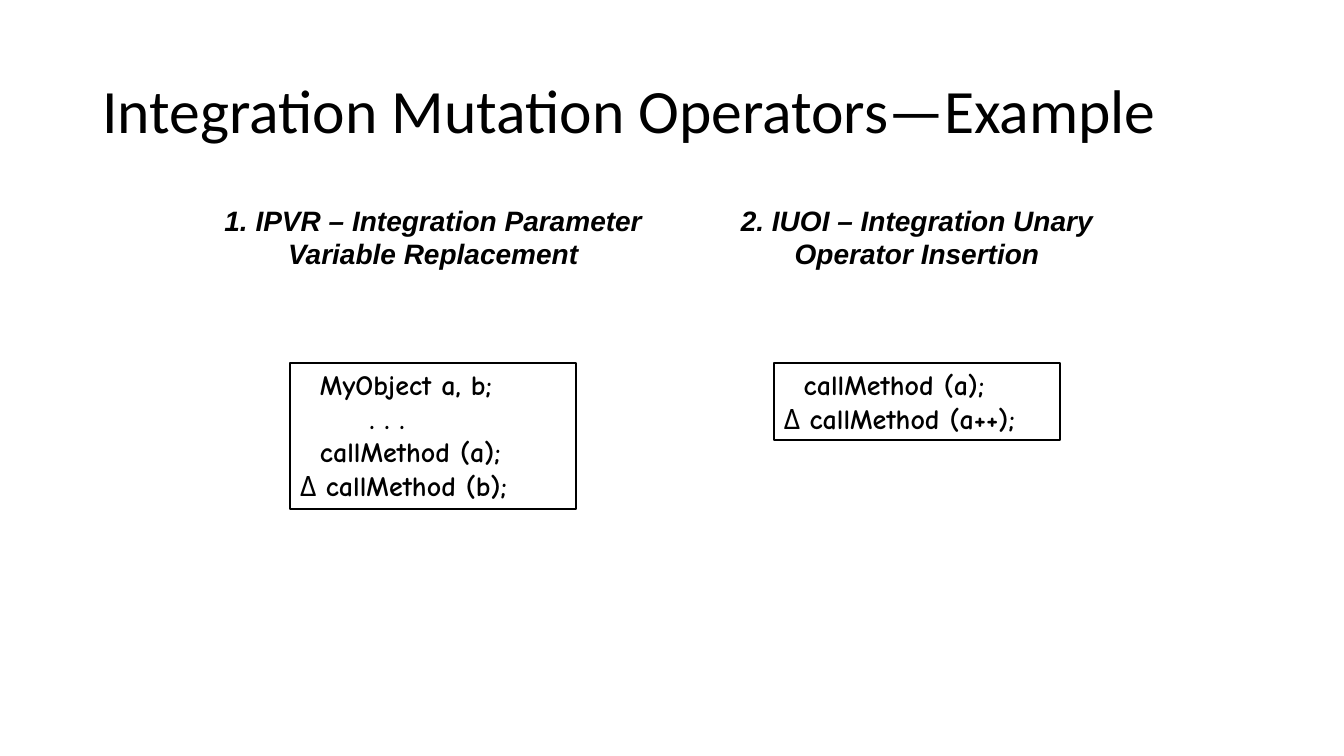
from pptx import Presentation
from pptx.dml.color import RGBColor
from pptx.enum.shapes import MSO_SHAPE
from pptx.enum.text import MSO_ANCHOR, MSO_AUTO_SIZE, PP_ALIGN
from pptx.util import Cm, Pt

RECTANGLE = MSO_SHAPE.RECTANGLE
LEFT, CENTER = PP_ALIGN.LEFT, PP_ALIGN.CENTER
TOP, MIDDLE = MSO_ANCHOR.TOP, MSO_ANCHOR.MIDDLE
NO_FIT = MSO_AUTO_SIZE.NONE
GROW = MSO_AUTO_SIZE.SHAPE_TO_FIT_TEXT

COLORS = {"ink": "000000", "paper": "FFFFFF"}
FORMATS = {
    "title": {"name": "Calibri", "size": Pt(44), "bold": False},
    "heading": {"name": "Arial", "size": Pt(20), "bold": True, "italic": True},
    "code": {"name": "Comic Neue", "size": Pt(20), "bold": True},
    "marker": {"name": "Comic Neue", "size": Pt(20), "bold": False},
}
HEADING_TOP, CODE_TOP = 5, 9.14
HEADING_HEIGHT, CODE_WIDTH = 1.96, 7.21
CODE_INDENT, ELLIPSIS_INDENT = 0.5, 1.75

EXAMPLES = [
    {
        "center": 10.92,
        "heading": "1. IPVR – Integration Parameter Variable Replacement",
        "heading_width": 11.33,
        "code_height": 3.68,
        "code": [
            (CODE_INDENT, [("MyObject a, b;", "code")]),
            (ELLIPSIS_INDENT, [(". . .", "code")]),
            (CODE_INDENT, [("callMethod (a);", "code")]),
            (0, [("Δ ", "marker"), ("callMethod (b);", "code")]),
        ],
    },
    {
        "center": 23.11,
        "heading": "2. IUOI – Integration Unary Operator Insertion",
        "heading_width": 11.02,
        "code_height": 1.96,
        "code": [
            (CODE_INDENT, [("callMethod (a);", "code")]),
            (0, [("Δ ", "marker"), ("callMethod (a++);", "code")]),
        ],
    },
]


def color(name):
    return RGBColor.from_string(COLORS[name])


class MutationSlide:
    def __init__(self, deck):
        self.slide = deck.slides.add_slide(deck.slide_layouts[5])
        self.slide.background.fill.solid()
        self.slide.background.fill.fore_color.rgb = color("paper")

    def frame(self, holder, anchor, fit):
        frame = holder.text_frame
        settings = {"word_wrap": True, "vertical_anchor": anchor, "auto_size": fit}
        for attribute, value in settings.items():
            setattr(frame, attribute, value)
        return frame

    def add_words(self, paragraph, words, style, alignment=LEFT):
        paragraph.alignment = alignment
        run = paragraph.add_run()
        run.text = words
        for attribute, value in FORMATS[style].items():
            setattr(run.font, attribute, value)
        run.font.color.rgb = color("ink")

    def title(self, words):
        title = self.slide.shapes.title
        place = {"left": 2.33, "top": 1.01, "width": 29.21, "height": 3.68}
        for attribute, value in place.items():
            setattr(title, attribute, Cm(value))
        paragraph = self.frame(title, MIDDLE, NO_FIT).paragraphs[0]
        paragraph.line_spacing = 0.9
        self.add_words(paragraph, words, "title")

    def heading(self, group, center, width, words):
        heading = group.shapes.add_textbox(
            Cm(center - width / 2), Cm(HEADING_TOP), Cm(width), Cm(HEADING_HEIGHT)
        )
        frame = self.frame(heading, TOP, GROW)
        self.add_words(frame.paragraphs[0], words, "heading", CENTER)

    def code_box(self, group, center, height, lines):
        box = group.shapes.add_shape(
            RECTANGLE, Cm(center - CODE_WIDTH / 2), Cm(CODE_TOP), Cm(CODE_WIDTH), Cm(height)
        )
        box.shadow.inherit = False
        box.fill.background()
        box.line.color.rgb = color("ink")
        box.line.width = Pt(1.5)
        frame = self.frame(box, TOP, GROW)
        for number, (indent, pieces) in enumerate(lines):
            paragraph = frame.add_paragraph() if number else frame.paragraphs[0]
            paragraph._p.get_or_add_pPr().set("marL", str(Cm(indent)))
            for words, style in pieces:
                self.add_words(paragraph, words, style)

    def example(self, example):
        group = self.slide.shapes.add_group_shape()
        center = example["center"]
        self.heading(group, center, example["heading_width"], example["heading"])
        self.code_box(group, center, example["code_height"], example["code"])


def main():
    deck = Presentation()
    deck.slide_width, deck.slide_height = Cm(33.87), Cm(19.05)
    operators = MutationSlide(deck)
    operators.title("Integration Mutation Operators—Example")
    for example in EXAMPLES:
        operators.example(example)
    deck.save("out.pptx")


if __name__ == "__main__":
    main()
